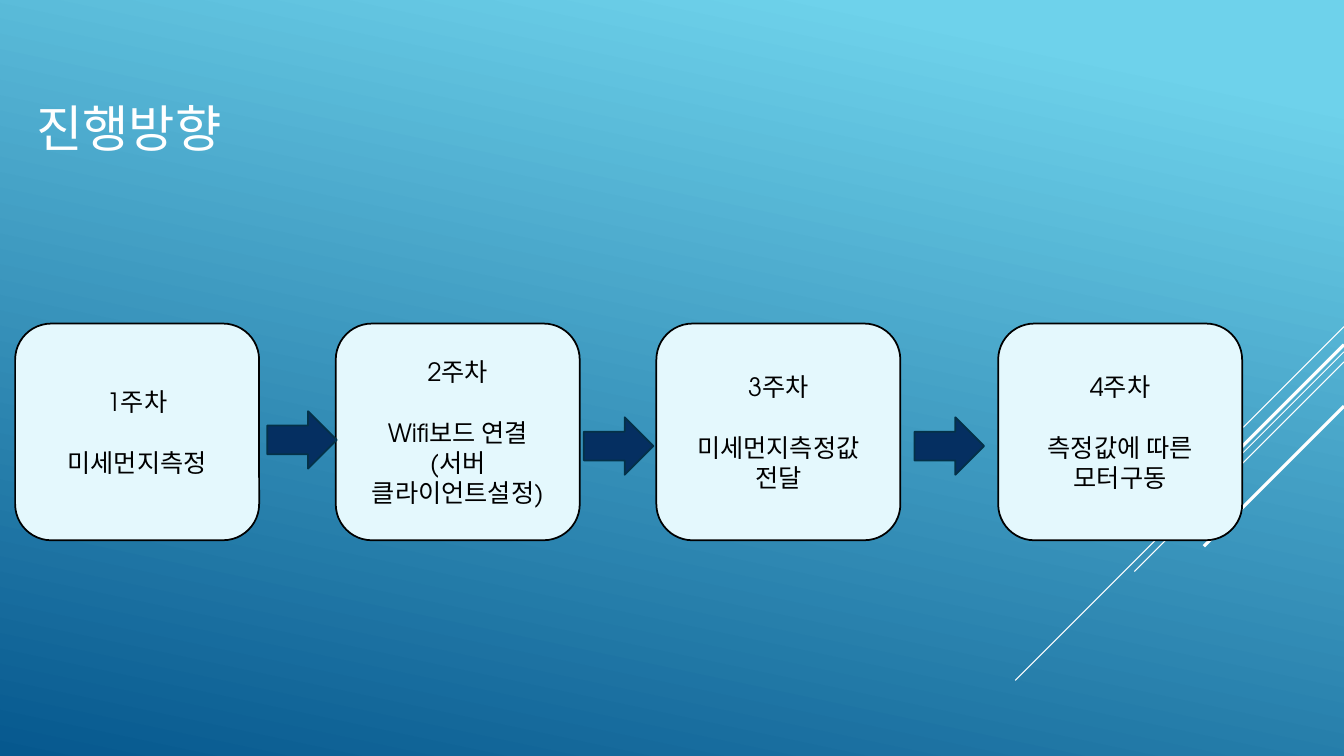
from pptx import Presentation
from pptx import util as u
from pptx.dml.color import RGBColor
from pptx.enum import shapes, text
from pptx.oxml import parse_xml
from pptx.oxml.ns import nsdecls

FONT = "TeX Gyre Adventor"
COLORS = {
    "sky": "6ED2EB", "deep": "06588E", "white": "FFFFFF", "black": "000000",
    "card": "E4F8FD", "arrow": "052F61", "arrow_edge": "043148",
}
CARD_W, CARD_H, CARD_TOP = 2.42, 2.15, 3.21
ARROW_W, ARROW_H = 0.69, 0.57

# Card left edge, week, lines of work
WEEKS = [
    (0.15, "1주차", ["미세먼지측정"]),
    (3.33, "2주차", ["Wifi보드 연결", "(서버 클라이언트설정)"]),
    (6.51, "3주차", ["미세먼지측정값 전달"]),
    (9.9, "4주차", ["측정값에 따른", "모터구동"]),
]
ARROWS = [(2.65, 4.08), (5.79, 4.14), (9.07, 4.14)]
# Diagonals falling left at 45 degrees from the right edge: top, drop, width
STREAKS = [(3.24, 1, 0.75), (3.49, 3.26, 0.75), (3.59, 2.08, 0.75),
           (3.42, 1.91, 2.25), (4.03, 1.39, 2.25)]


def rgb(name):
    return RGBColor.from_string(COLORS[name])


def add_run(p, words, size, color):
    r = p.add_run()
    r.text = words
    r.font.name = FONT
    r.font.size = u.Pt(size)
    r.font.color.rgb = rgb(color)


def add_block(s, kind, box, fill, edge):
    sp = s.shapes.add_shape(kind, *map(u.Inches, box))
    sp.shadow.inherit = False
    sp.fill.solid()
    sp.fill.fore_color.rgb = rgb(fill)
    sp.line.color.rgb = rgb(edge)
    sp.line.width = u.Pt(1.25)
    return sp


def add_background(s):
    fill = s.background.fill
    fill.gradient()
    fill.gradient_angle = 258
    for stop, name, pos in zip(fill.gradient_stops, ("sky", "deep"), (0.1, 1)):
        stop.color.rgb = rgb(name)
        stop.position = pos


def add_streaks(s, right):
    for top, drop, width in STREAKS:
        ends = (right, top, right - drop, top + drop)
        line = s.shapes.add_connector(shapes.MSO_CONNECTOR.STRAIGHT,
                                      *map(u.Inches, ends))
        line.line.color.rgb = rgb("white")
        line.line.width = u.Pt(width)
        line._element.spPr.append(parse_xml(f"<a:effectLst {nsdecls('a')}/>"))


def add_title(s, box, words):
    tf = s.shapes.add_textbox(*map(u.Inches, box)).text_frame
    tf.word_wrap = True
    tf.vertical_anchor = text.MSO_ANCHOR.MIDDLE
    add_run(tf.paragraphs[0], words, 36, "white")


def add_card(s, box, week, tasks):
    sp = add_block(s, shapes.MSO_SHAPE.ROUNDED_RECTANGLE, box, "card", "black")
    tf = sp.text_frame
    tf.word_wrap = True
    tf.vertical_anchor = text.MSO_ANCHOR.MIDDLE
    for i, words in enumerate([week] + tasks):
        p = tf.add_paragraph() if i else tf.paragraphs[0]
        p.alignment = text.PP_ALIGN.CENTER
        if i == 1:
            p.space_before = u.Pt(22)
        add_run(p, words, 18, "black")


def add_schedule(s):
    for left, week, tasks in WEEKS:
        add_card(s, (left, CARD_TOP, CARD_W, CARD_H), week, tasks)
    for left, top in ARROWS:
        add_block(s, shapes.MSO_SHAPE.RIGHT_ARROW,
                  (left, top, ARROW_W, ARROW_H), "arrow", "arrow_edge")


def main():
    prs = Presentation()
    prs.slide_width, prs.slide_height = u.Inches(13.33), u.Inches(7.5)
    s = prs.slides.add_slide(prs.slide_layouts[6])
    add_background(s)
    add_streaks(s, 13.33)
    add_title(s, (0.26, 0.44, 9.33, 1.65), "진행방향")
    add_schedule(s)
    prs.save("out.pptx")


if __name__ == "__main__":
    main()
